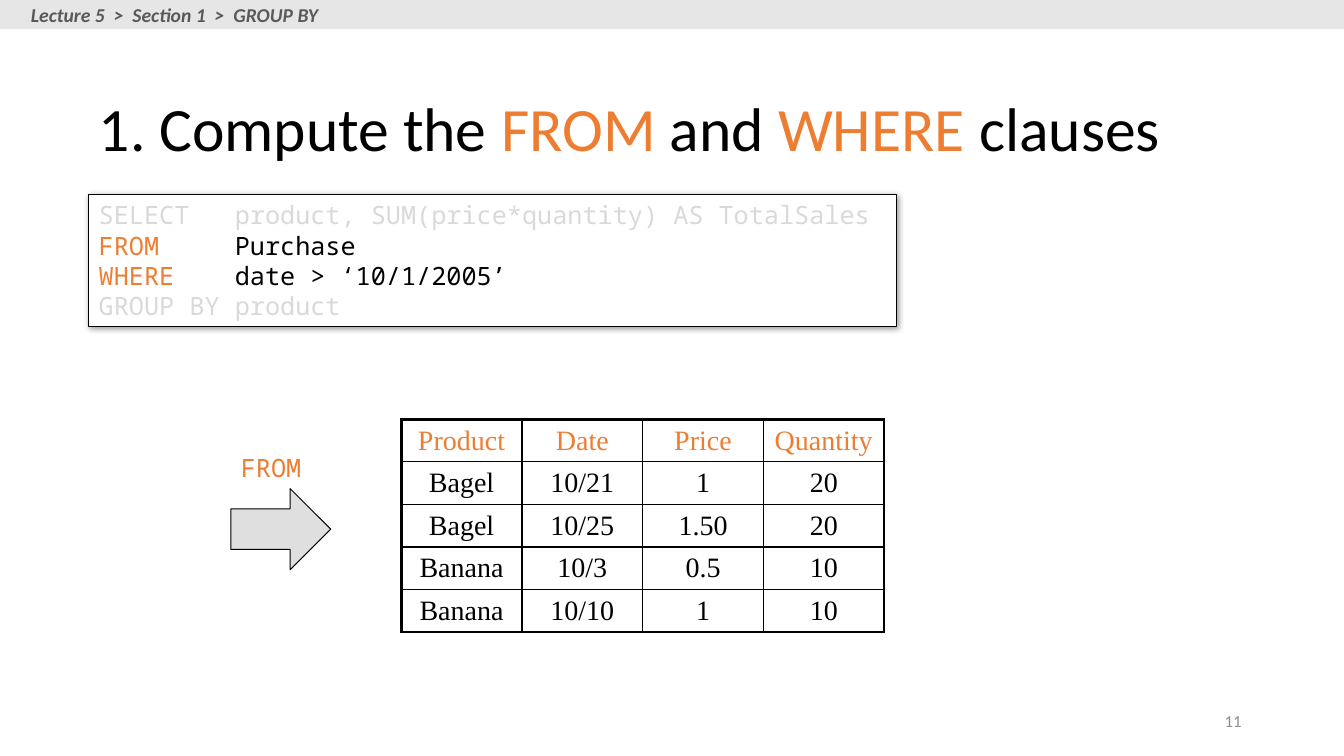
from lxml import etree
from pptx import Presentation
from pptx.dml.color import RGBColor
from pptx.enum.shapes import MSO_SHAPE
from pptx.enum.text import MSO_ANCHOR, PP_ALIGN
from pptx.oxml import parse_xml
from pptx.oxml.ns import nsdecls, qn
from pptx.util import Pt

RECTANGLE = MSO_SHAPE.RECTANGLE
RIGHT_ARROW = MSO_SHAPE.RIGHT_ARROW
TOP, MIDDLE = MSO_ANCHOR.TOP, MSO_ANCHOR.MIDDLE
LEFT, CENTER, RIGHT = PP_ALIGN.LEFT, PP_ALIGN.CENTER, PP_ALIGN.RIGHT
TITLE_ONLY = 5
SANS, MONO, SERIF = "Calibri", "Noto Sans Mono", "Times New Roman"
BLACK, WHITE, ORANGE, FADED = "000000", "FFFFFF", "ED7D31", "D9D9D9"

TITLE = [("1. Compute the ", BLACK), ("FROM", ORANGE), (" and ", BLACK),
         ("WHERE", ORANGE), (" clauses", BLACK)]
QUERY = [
    [("SELECT\tproduct, SUM(price*quantity) AS TotalSales", FADED)],
    [("FROM\t", ORANGE), ("Purchase", BLACK)],
    [("WHERE\t", ORANGE), ("date > ‘10/1/2005’", BLACK)],
    [("GROUP BY product", FADED)],
]
PURCHASES = [
    ("Product", "Date", "Price", "Quantity"),
    ("Bagel", "10/21", "1", "20"),
    ("Bagel", "10/25", "1.50", "20"),
    ("Banana", "10/3", "0.5", "10"),
    ("Banana", "10/10", "1", "10"),
]


def color(value):
    """Turn a hex string into a colour."""
    return RGBColor.from_string(value)


def write(frame, paragraphs, font, size, align=LEFT, anchor=TOP,
          bold=False, italic=False, line_spacing=None):
    """Fill a text frame with paragraphs, each a list of (text, colour) runs."""
    frame.word_wrap = True
    frame.vertical_anchor = anchor
    for index, runs in enumerate(paragraphs):
        paragraph = frame.paragraphs[0] if index == 0 else frame.add_paragraph()
        paragraph.alignment = align
        if line_spacing:
            paragraph.line_spacing = line_spacing
        for text, run_color in runs:
            run = paragraph.add_run()
            run.text = text
            run.font.name = font
            run.font.size = Pt(size)
            run.font.bold = bold
            run.font.italic = italic
            run.font.color.rgb = color(run_color)


def add_label(slide, left, top, width, height, text, text_color, **text_format):
    """Add a text box holding one line."""
    box = slide.shapes.add_textbox(Pt(left), Pt(top), Pt(width), Pt(height))
    write(box.text_frame, [[(text, text_color)]], **text_format)


def add_block(slide, preset, left, top, width, height, fill, line=None):
    """Add a flat preset shape with an optional thin outline."""
    shape = slide.shapes.add_shape(preset, Pt(left), Pt(top), Pt(width), Pt(height))
    shape.shadow.inherit = False
    shape.fill.solid()
    shape.fill.fore_color.rgb = color(fill)
    if line:
        shape.line.color.rgb = color(line)
        shape.line.width = Pt(0.75)
    else:
        shape.line.fill.background()
    return shape


def add_header(slide, left, top, width, height):
    """Add the grey breadcrumb band."""
    add_block(slide, RECTANGLE, left, top, width, height, "E7E6E6")
    add_label(slide, left + 15, top - 1.4, 230, 24.5,
              "  >  ".join(("Lecture 5", "Section 1", "GROUP BY")), "595959",
              font=SANS, size=14, bold=True, italic=True)


def add_title(slide, left, top, width, height):
    """Place and fill the title placeholder."""
    title = slide.shapes.title
    title.left, title.top = Pt(left), Pt(top)
    title.width, title.height = Pt(width), Pt(height)
    write(title.text_frame, [TITLE], font=SANS, size=44, anchor=MIDDLE,
          line_spacing=0.9)


def add_query(slide, left, top, width, height):
    """Add the shadowed query box with its clauses set on a tab stop."""
    box = add_block(slide, RECTANGLE, left, top, width, height, WHITE, BLACK)
    write(box.text_frame, QUERY, font=MONO, size=18)
    for paragraph in box.text_frame.paragraphs:
        properties = paragraph._p.get_or_add_pPr()
        tabs = etree.SubElement(properties, qn("a:tabLst"))
        etree.SubElement(tabs, qn("a:tab"), pos=str(Pt(97.2)), algn="l")
    effects = box._element.spPr.find(qn("a:effectLst"))
    effects.append(parse_xml(
        f'<a:outerShdw {nsdecls("a")} blurRad="{Pt(4)}" dist="{Pt(1)}" '
        f'dir="2700000" algn="tl" rotWithShape="0"><a:srgbClr val="{BLACK}">'
        '<a:alpha val="40000"/></a:srgbClr></a:outerShdw>'))


def add_step(slide, left, top, width, height):
    """Add the clause name above its translucent arrow."""
    label_height = 29.3
    add_label(slide, left, top, 60, label_height, "FROM", ORANGE, font=MONO, size=18)
    arrow = add_block(slide, RIGHT_ARROW, left, top + label_height, width,
                      height - label_height, "C0C0C0", BLACK)
    fill_color = arrow._element.spPr.find(qn("a:solidFill"))[0]
    etree.SubElement(fill_color, qn("a:alpha"), val="50000")


def set_borders(cell, widths):
    """Draw the four cell borders from a side-to-width mapping."""
    properties = cell._tc.get_or_add_tcPr()
    for side, width in widths.items():
        properties.append(parse_xml(
            f'<a:ln{side} {nsdecls("a")} w="{Pt(width)}"><a:solidFill>'
            f'<a:srgbClr val="{BLACK}"/></a:solidFill></a:ln{side}>'))


def add_purchases(slide, left, top, width, height):
    """Add the purchase table with a heavy outer frame."""
    row_count, column_count = len(PURCHASES), len(PURCHASES[0])
    table = slide.shapes.add_table(row_count, column_count, Pt(left), Pt(top),
                                   Pt(width), Pt(height)).table
    table.first_row = False
    table.horz_banding = False
    heavy, thin = 2.25, 1
    for row_index, values in enumerate(PURCHASES):
        for column_index, value in enumerate(values):
            cell = table.cell(row_index, column_index)
            set_borders(cell, {
                "L": heavy if column_index == 0 else thin,
                "R": heavy if column_index == column_count - 1 else thin,
                "T": heavy if row_index == 0 else thin,
                "B": heavy if row_index == row_count - 1 else thin,
            })
            cell.fill.background()
            cell.vertical_anchor = MIDDLE
            text_color = ORANGE if row_index == 0 else BLACK
            write(cell.text_frame, [[(value, text_color)]], font=SERIF, size=20,
                  align=CENTER, anchor=MIDDLE)


def main():
    """Build and save the slide."""
    presentation = Presentation()
    presentation.slide_width, presentation.slide_height = Pt(960), Pt(540)
    slide = presentation.slides.add_slide(presentation.slide_layouts[TITLE_ONLY])
    add_title(slide, 63.4, 49, 791, 90)
    add_purchases(slide, 286.6, 299.5, 345, 152)
    add_step(slide, 164.9, 319.7, 71.3, 87.2)
    add_query(slide, 63.4, 139, 577, 94.3)
    add_header(slide, 0, 0, 960, 20.9)
    add_label(slide, 678, 500.5, 216, 28.8, "11", "8C8C8C", font=SANS, size=12,
              align=RIGHT, anchor=MIDDLE)
    presentation.save("out.pptx")


if __name__ == "__main__":
    main()
